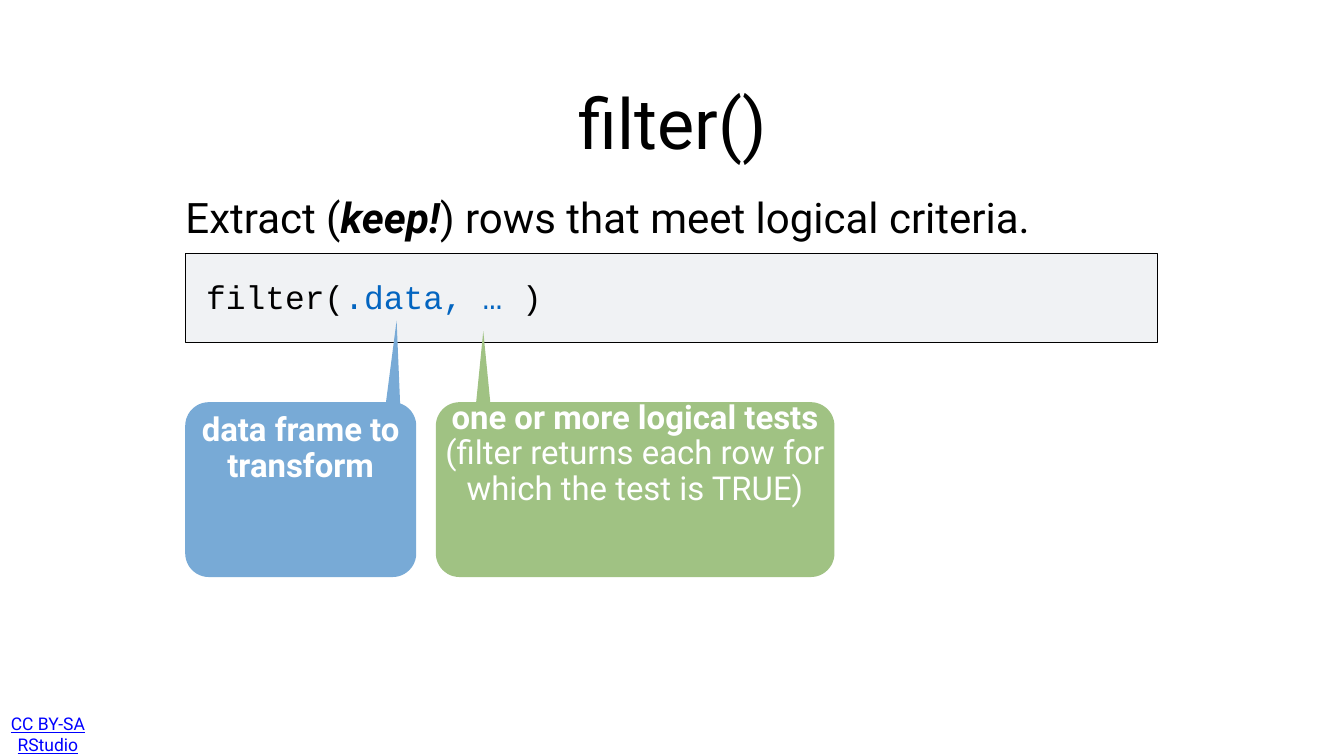
"""Build the filter() syntax slide on a grid of 100 columns by 100 rows."""
import math

import pptx
import pptx.dml.color
import pptx.enum.shapes
import pptx.enum.text
import pptx.util

WIDTH, HEIGHT = pptx.util.Inches(26.67), pptx.util.Inches(15)
RADIUS = pptx.util.Inches(0.47)
ARC_STEPS = 12
COLORS = {
    "ink": "000000", "paper": "FFFFFF", "link": "0000FF", "panel": "F0F2F4",
    "argument": "0365C0", "data": "78AAD6", "tests": "A0C283",
}
CENTER = pptx.enum.text.PP_ALIGN.CENTER
MIDDLE = pptx.enum.text.MSO_ANCHOR.MIDDLE


def col(count):
    """Return the length of a number of grid columns."""
    return round(WIDTH * count / 100)


def row(count):
    """Return the length of a number of grid rows."""
    return round(HEIGHT * count / 100)


def cells(left, top, width, height):
    """Turn a grid area into slide lengths."""
    return col(left), row(top), col(width), row(height)


def rgb(name):
    """Look up a named colour."""
    return pptx.dml.color.RGBColor.from_string(COLORS[name])


def apply(target, values):
    """Set every attribute in a dict of format values."""
    for attribute, value in values.items():
        setattr(target, attribute, value)


def write(shape, runs, size, color="ink", font="Roboto", inset=0.06,
          frame_format=None, paragraph_format=None):
    """Fill a shape with one paragraph of (text, font values, colour) runs."""
    frame = shape.text_frame
    margins = ("margin_left", "margin_top", "margin_right", "margin_bottom")
    apply(frame, dict.fromkeys(margins, pptx.util.Inches(inset)))
    apply(frame, {"word_wrap": True, "vertical_anchor": MIDDLE, **(frame_format or {})})
    paragraph = frame.paragraphs[0]
    apply(paragraph, paragraph_format or {})
    for text, extra, run_color in runs:
        run = paragraph.add_run()
        run.text = text
        apply(run.font, {"size": pptx.util.Pt(size), "name": font, **extra})
        run.font.color.rgb = rgb(run_color or color)


def add_text(slide, area, runs, size, **options):
    """Add a text box on the grid."""
    write(slide.shapes.add_textbox(*cells(*area)), runs, size, **options)


def add_panel(slide, area):
    """Add the outlined panel behind the code."""
    panel = slide.shapes.add_shape(pptx.enum.shapes.MSO_SHAPE.RECTANGLE, *cells(*area))
    panel.shadow.inherit = False
    panel.fill.solid()
    panel.fill.fore_color.rgb = rgb("panel")
    panel.line.color.rgb = rgb("ink")
    panel.line.width = pptx.util.Pt(1)


def arc(center_x, center_y, start, sweep):
    """Return points along a rounded corner, angles in degrees."""
    angles = [math.radians(start + sweep * step / ARC_STEPS) for step in range(ARC_STEPS + 1)]
    return [(center_x + RADIUS * math.cos(a), center_y - RADIUS * math.sin(a)) for a in angles]


def add_bubble(slide, left, right, tip, base, color, runs):
    """Add a rounded speech bubble whose pointer rises from base to tip."""
    west, east = col(left) + RADIUS, col(right) - RADIUS
    north, south = row(53.2) + RADIUS, row(76.33) - RADIUS
    base_left, base_right = map(col, base)
    last_sweep = math.degrees(math.acos(max(0, (base_right - east) / RADIUS)))
    outline = [
        (base_left, north - RADIUS),
        *arc(west, north, 90, 90),
        *arc(west, south, 180, 90),
        *arc(east, south, 270, 90),
        *arc(east, north, 0, last_sweep),
        (base_right, north - RADIUS * math.sin(math.radians(last_sweep))),
    ]
    builder = slide.shapes.build_freeform(col(tip[0]), row(tip[1]))
    builder.add_line_segments([(round(x), round(y)) for x, y in outline], close=True)
    bubble = builder.convert_to_shape()
    bubble.shadow.inherit = False
    bubble.fill.solid()
    bubble.fill.fore_color.rgb = rgb(color)
    bubble.line.fill.background()
    write(bubble, runs, 47, color="paper", inset=0.08,
          paragraph_format={"alignment": CENTER, "line_spacing": 0.9})


def main():
    """Build and save the slide."""
    deck = pptx.Presentation()
    apply(deck, {"slide_width": WIDTH, "slide_height": HEIGHT})
    slide = deck.slides.add_slide(deck.slide_layouts[6])
    centered = {"alignment": CENTER}
    bold = {"bold": True}

    add_text(slide, (0.45, 95.07, 9.97, 4),
             [("CC BY-SA RStudio", {"underline": True}, None)], 25, color="link",
             frame_format={"margin_left": col(0.15), "margin_right": col(3.9)},
             paragraph_format=centered)
    add_text(slide, (16.5, 7.33, 67.12, 17.47), [("filter()", {}, None)], 100,
             paragraph_format=centered)
    add_text(slide, (13.8, 23.47, 67.12, 10.4),
             [("Extract (", {}, None), ("keep!", {"bold": True, "italic": True}, None),
              (") rows that meet logical criteria.", {}, None)], 60, inset=0)
    add_panel(slide, (13.8, 33.53, 72.33, 11.8))
    add_text(slide, (15.11, 36.2, 64.64, 10.4),
             [("filter(", {}, None), (".data, … ", {}, "argument"), (")", {}, None)],
             47, font="Courier New",
             frame_format={"vertical_anchor": pptx.enum.text.MSO_ANCHOR.TOP})
    add_bubble(slide, 32.43, 62.09, (35.96, 43.8), (35.43, 36.48), "tests",
               [("one or more logical tests ", bold, None),
                ("(filter returns each row for which the test is TRUE)", {}, None)])
    add_bubble(slide, 13.78, 30.97, (29.51, 42.4), (28.72, 29.77), "data",
               [("data frame to transform", bold, None)])
    deck.save("out.pptx")


if __name__ == "__main__":
    main()
